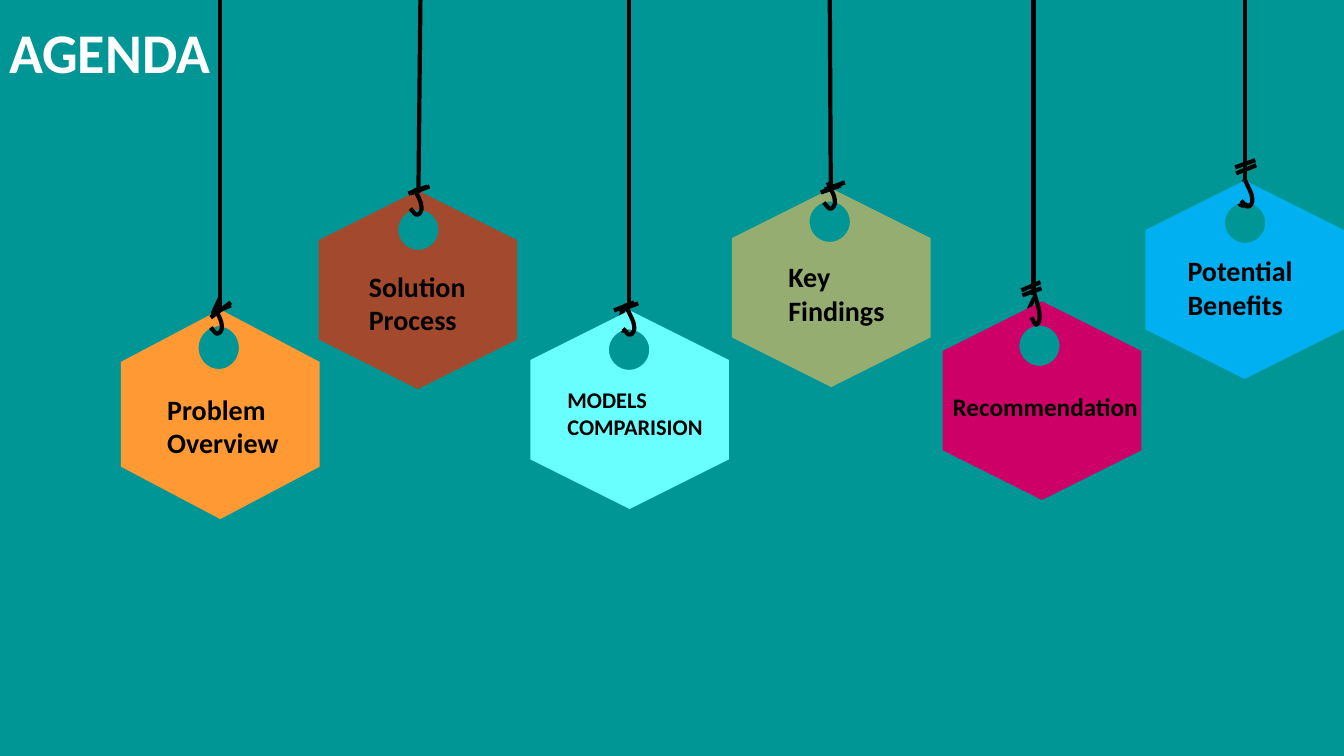
"""Build the agenda slide with six hexagonal tags hanging from strings."""
from typing import NamedTuple

from lxml.etree import SubElement
from pptx import Presentation
from pptx.dml.color import RGBColor
from pptx.enum.shapes import MSO_CONNECTOR
from pptx.enum.text import MSO_ANCHOR, MSO_AUTO_SIZE, PP_ALIGN
from pptx.oxml.ns import qn
from pptx.util import Pt

PX = 9144
FONT = "Calibri"
TEAL = RGBColor(0x00, 0x96, 0x96)
BLACK = RGBColor(0x00, 0x00, 0x00)
WHITE = RGBColor(0xFF, 0xFF, 0xFF)
ORANGE = RGBColor(0xFF, 0x99, 0x33)
BROWN = RGBColor(0xA3, 0x4A, 0x2E)
CYAN = RGBColor(0x6A, 0xFF, 0xFF)
GREEN = RGBColor(0x95, 0xAD, 0x70)
PINK = RGBColor(0xCC, 0x00, 0x66)
BLUE = RGBColor(0x00, 0xB0, 0xF0)

TAG_WIDTH = 197
HOLE_RADIUS = 20
ARC = 0.55
HOLE_START = (1, 0)
HOLE_CURVES = [
    [(1, -ARC), (ARC, -1), (0, -1)],
    [(-ARC, -1), (-1, -ARC), (-1, 0)],
    [(-1, ARC), (-ARC, 1), (0, 1)],
    [(ARC, 1), (1, ARC), (1, 0)],
]
HOOK_WIDTH, HOOK_HEIGHT = 11, 26
HOOK_START = (4, 0)
HOOK_CURVES = [
    [(7, 7), (11, 13), (11, 18)],
    [(12, 22), (9, 26), (7, 26)],
    [(5, 27), (3, 23), (0, 20)],
]


class Tag(NamedTuple):
    """One agenda item with its tag, string, hooks and ties."""
    lines: list
    font_size: int
    colour: RGBColor
    corner: tuple
    height: int
    hole: tuple
    label_box: tuple
    string: tuple
    back_hook: tuple
    front_hook: tuple
    ties: list


TAGS = [
    Tag(["Problem Overview"], 20, ORANGE, (120, 307), 208, (217, 345), (156, 384, 147, 82),
        (218, 307, 218, 0), (211, 296, 11, 26), (209, 305, 11, 26),
        [(210, 311, 229, 303), (209, 315, 229, 300)]),
    Tag(["Solution Process"], 20, BROWN, (316, 189), 197, (415, 228), (356, 262, 147, 77),
        (415, 191, 417, 0), (353, 259, 11, 26), (407, 187, 11, 26),
        [(405, 192, 424, 185), (407, 192, 426, 185)]),
    Tag(["MODELS COMPARISION"], 16, CYAN, (526, 308), 197, (624, 347), (553, 378, 164, 64),
        (624, 302, 624, 0), (614, 302, 11, 26), (618, 306, 11, 26),
        [(609, 308, 629, 300), (614, 308, 633, 301)]),
    Tag(["Key Findings"], 20, GREEN, (726, 187), 197, (823, 220), (772, 253, 122, 77),
        (824, 187, 823, 0), (751, 295, 11, 26), (817, 181, 11, 26),
        [(818, 188, 838, 181), (814, 191, 834, 184)]),
    Tag(["Recommendation"], 18, PINK, (935, 299), 197, (1031, 343), (935, 383, 239, 40),
        (1025, 293, 1025, 0), (1019, 295, 11, 26), (1023, 291, 8, 31),
        [(1014, 293, 1033, 286), (1013, 288, 1032, 280)]),
    Tag(["Potential", "Benefits"], 20, BLUE, (1136, 179), 197, (1235, 221), (1168, 247, 147, 77),
        (1235, 179, 1235, 0), (1228, 178, 11, 26), (1231, 179, 11, 26),
        [(1226, 172, 1246, 164), (1225, 166, 1245, 159)]),
]


def to_emu(points):
    """Turn pixel points into EMU points."""
    return [(round(x * PX), round(y * PX)) for x, y in points]


def place(points, origin, scale):
    """Scale points and move them to an origin, in EMU."""
    return to_emu([(origin[0] + x * scale[0], origin[1] + y * scale[1]) for x, y in points])


def bend(shape, curves):
    """Turn the last straight segments of a freeform into curves."""
    segments = list(shape._element.iter(qn("a:lnTo")))[-len(curves):]
    for segment, curve in zip(segments, curves):
        segment.tag = qn("a:cubicBezTo")
        segment.clear()
        for x, y in curve:
            SubElement(segment, qn("a:pt"), x=str(x - shape.left), y=str(y - shape.top))


def add_tag(shapes, tag):
    """Add a hexagon with a round hole."""
    left, top = tag.corner
    right, bottom = left + TAG_WIDTH, top + tag.height
    middle, quarter = left + TAG_WIDTH / 2, tag.height / 4
    hexagon = to_emu([
        (middle, top), (right, top + quarter), (right, bottom - quarter),
        (middle, bottom), (left, bottom - quarter), (left, top + quarter),
    ])
    radii = (HOLE_RADIUS, HOLE_RADIUS * tag.height / TAG_WIDTH)
    start = place([HOLE_START], tag.hole, radii)[0]
    curves = [place(curve, tag.hole, radii) for curve in HOLE_CURVES]
    builder = shapes.build_freeform(*hexagon[0])
    builder.add_line_segments(hexagon[1:])
    builder.move_to(*start)
    builder.add_line_segments([curve[-1] for curve in curves])
    shape = builder.convert_to_shape()
    bend(shape, curves)
    shape.shadow.inherit = False
    shape.fill.solid()
    shape.fill.fore_color.rgb = tag.colour
    shape.line.fill.background()


def add_hook(shapes, box, mirrored=False):
    """Add a curved hook that fills the given box."""
    left, top, width, height = box
    scale = (width / HOOK_WIDTH, height / HOOK_HEIGHT)
    if mirrored:
        left, scale = left + width, (-scale[0], scale[1])
    start = place([HOOK_START], (left, top), scale)[0]
    curves = [place(curve, (left, top), scale) for curve in HOOK_CURVES]
    builder = shapes.build_freeform(*start)
    builder.add_line_segments([curve[-1] for curve in curves], close=False)
    shape = builder.convert_to_shape()
    bend(shape, curves)
    shape.shadow.inherit = False
    shape.fill.background()
    format_line(shape)


def format_line(shape):
    """Give a shape the black cord line."""
    shape.line.color.rgb = BLACK
    shape.line.width = Pt(3)


def add_line(shapes, ends):
    """Add a straight piece of cord."""
    connector = shapes.add_connector(MSO_CONNECTOR.STRAIGHT, *(value * PX for value in ends))
    format_line(connector)
    SubElement(connector._element.spPr, qn("a:effectLst"))


def write_lines(shape, lines, size, colour):
    """Write bold paragraphs into a shape."""
    frame = shape.text_frame
    frame.word_wrap = True
    frame.auto_size = MSO_AUTO_SIZE.SHAPE_TO_FIT_TEXT
    frame.vertical_anchor = MSO_ANCHOR.TOP
    frame.text = "\n".join(lines)
    for paragraph in frame.paragraphs:
        paragraph.alignment = PP_ALIGN.LEFT
        paragraph.font.name = FONT
        paragraph.font.size = Pt(size)
        paragraph.font.bold = True
        paragraph.font.color.rgb = colour


def add_title(slide, text):
    """Place and format the title."""
    title = slide.shapes.title
    title.left, title.top, title.width, title.height = -PX, 12 * PX, 283 * PX, 77 * PX
    write_lines(title, [text], 40, WHITE)


def add_labelled_tag(slide, tag):
    """Add a tag and its label as one group."""
    shapes = slide.shapes.add_group_shape().shapes
    add_tag(shapes, tag)
    label = shapes.add_textbox(*(value * PX for value in tag.label_box))
    write_lines(label, tag.lines, tag.font_size, BLACK)


def main():
    """Build and save the presentation."""
    presentation = Presentation()
    presentation.slide_width = 1333 * PX
    presentation.slide_height = 750 * PX
    slide = presentation.slides.add_slide(presentation.slide_layouts[5])
    slide.background.fill.solid()
    slide.background.fill.fore_color.rgb = TEAL
    add_title(slide, "AGENDA")
    for tag in TAGS:
        add_hook(slide.shapes, tag.back_hook, mirrored=True)
        add_labelled_tag(slide, tag)
        add_line(slide.shapes, tag.string)
        add_hook(slide.shapes, tag.front_hook)
        for tie in tag.ties:
            add_line(slide.shapes, tie)
    presentation.save("out.pptx")


if __name__ == "__main__":
    main()
